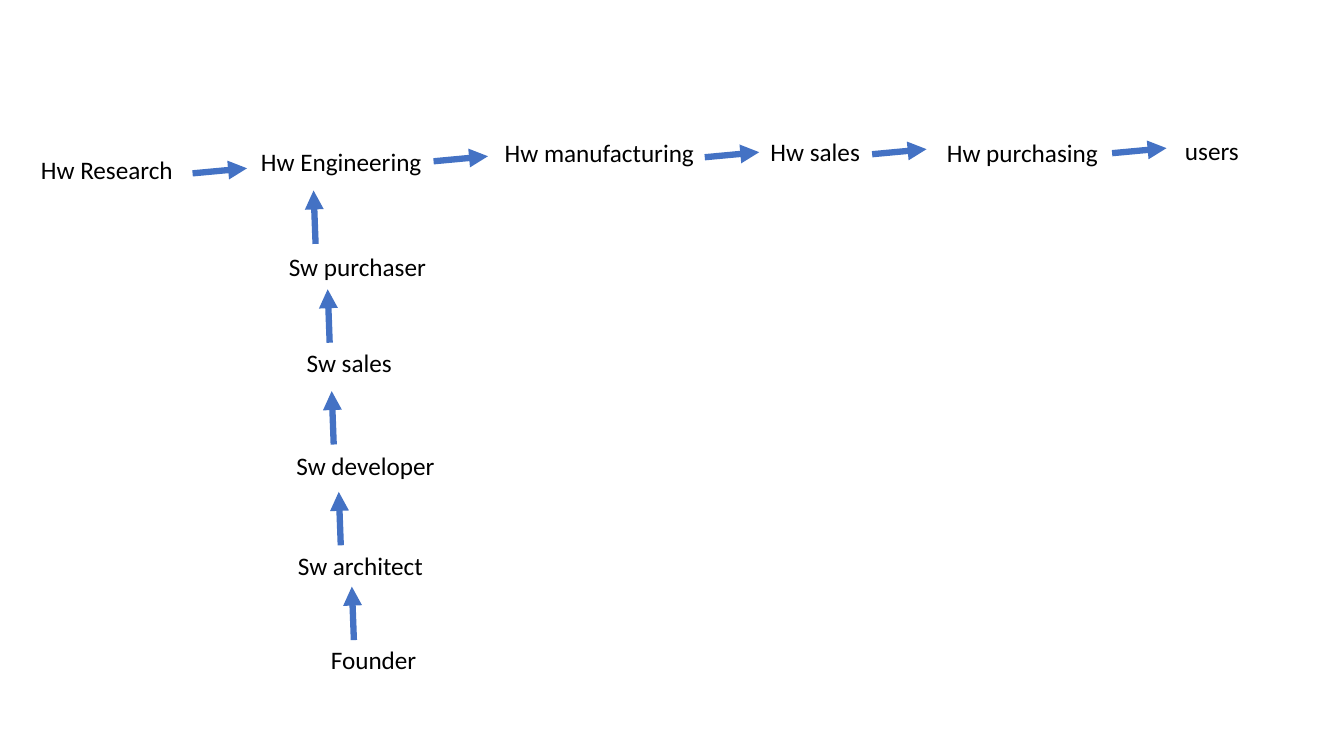
import pptx
import pptx.util
import pptx.dml.color
import pptx.enum.shapes
import pptx.enum.text
import pptx.oxml.ns
import lxml.etree

Inches = pptx.util.Inches
BLACK = pptx.dml.color.RGBColor(0x00, 0x00, 0x00)
BLUE = pptx.dml.color.RGBColor(0x44, 0x72, 0xC4)
BLANK_LAYOUT = 6
LABEL_HEIGHT = 0.4

# Roles: text, left, top, width
HARDWARE_ROLES = [
    ("Hw Research", 0.22, 1.48, 1.68),
    ("Hw Engineering", 2.45, 1.4, 1.87),
    ("Hw manufacturing", 4.86, 1.31, 2.17),
    ("Hw sales", 7.33, 1.3, 1.51),
    ("Hw purchasing", 9.2, 1.31, 1.88),
    ("users", 11.58, 1.29, 0.88),
]
SOFTWARE_ROLES = [
    ("Sw purchaser", 2.57, 2.44, 1.95),
    ("Sw sales", 2.71, 3.4, 1.51),
    ("Sw developer", 2.72, 4.42, 1.81),
    ("Sw architect", 2.82, 5.41, 1.51),
    ("Founder", 2.95, 6.34, 1.51),
]

# Arrow starts; every arrow of a chain has the same run
HARDWARE_STARTS = [(1.91, 1.72), (4.3, 1.6), (6.99, 1.56), (8.65, 1.53), (11.03, 1.52)]
HARDWARE_RUN = (0.54, -0.05)
SOFTWARE_STARTS = [(3.13, 2.42), (3.27, 3.4), (3.31, 4.41), (3.38, 5.41), (3.51, 6.35)]
SOFTWARE_RUN = (-0.02, -0.53)


def write_text(para, text, font="Calibri", size=18, color=BLACK,
               align=pptx.enum.text.PP_ALIGN.CENTER):
    para.alignment = align
    span = para.add_run()
    span.text = text
    span.font.name = font
    span.font.size = pptx.util.Pt(size)
    span.font.color.rgb = color


def add_label(page, text, left, top, width):
    box = page.shapes.add_textbox(
        Inches(left), Inches(top), Inches(width), Inches(LABEL_HEIGHT))
    box.text_frame.word_wrap = True
    box.text_frame.auto_size = pptx.enum.text.MSO_AUTO_SIZE.SHAPE_TO_FIT_TEXT
    write_text(box.text_frame.paragraphs[0], text)


def add_arrow(page, start, run):
    (x, y), (run_x, run_y) = start, run
    arrow = page.shapes.add_connector(
        pptx.enum.shapes.MSO_CONNECTOR.STRAIGHT,
        Inches(x), Inches(y), Inches(x + run_x), Inches(y + run_y))
    arrow.line.color.rgb = BLUE
    arrow.line.width = pptx.util.Pt(4.5)
    # Arrowhead, and no shadow
    qn = pptx.oxml.ns.qn
    properties = arrow.element.spPr
    lxml.etree.SubElement(properties.find(qn("a:ln")), qn("a:tailEnd"), type="triangle")
    lxml.etree.SubElement(properties, qn("a:effectLst"))


def add_chain(page, roles, starts, run):
    for role in roles:
        add_label(page, *role)
    for start in starts:
        add_arrow(page, start, run)


def main():
    deck = pptx.Presentation()
    deck.slide_width = Inches(13.33)
    deck.slide_height = Inches(7.5)
    page = deck.slides.add_slide(deck.slide_layouts[BLANK_LAYOUT])

    # Hardware chain runs right, software chain runs up into it
    add_chain(page, HARDWARE_ROLES, HARDWARE_STARTS, HARDWARE_RUN)
    add_chain(page, SOFTWARE_ROLES, SOFTWARE_STARTS, SOFTWARE_RUN)

    deck.save("out.pptx")


if __name__ == "__main__":
    main()
